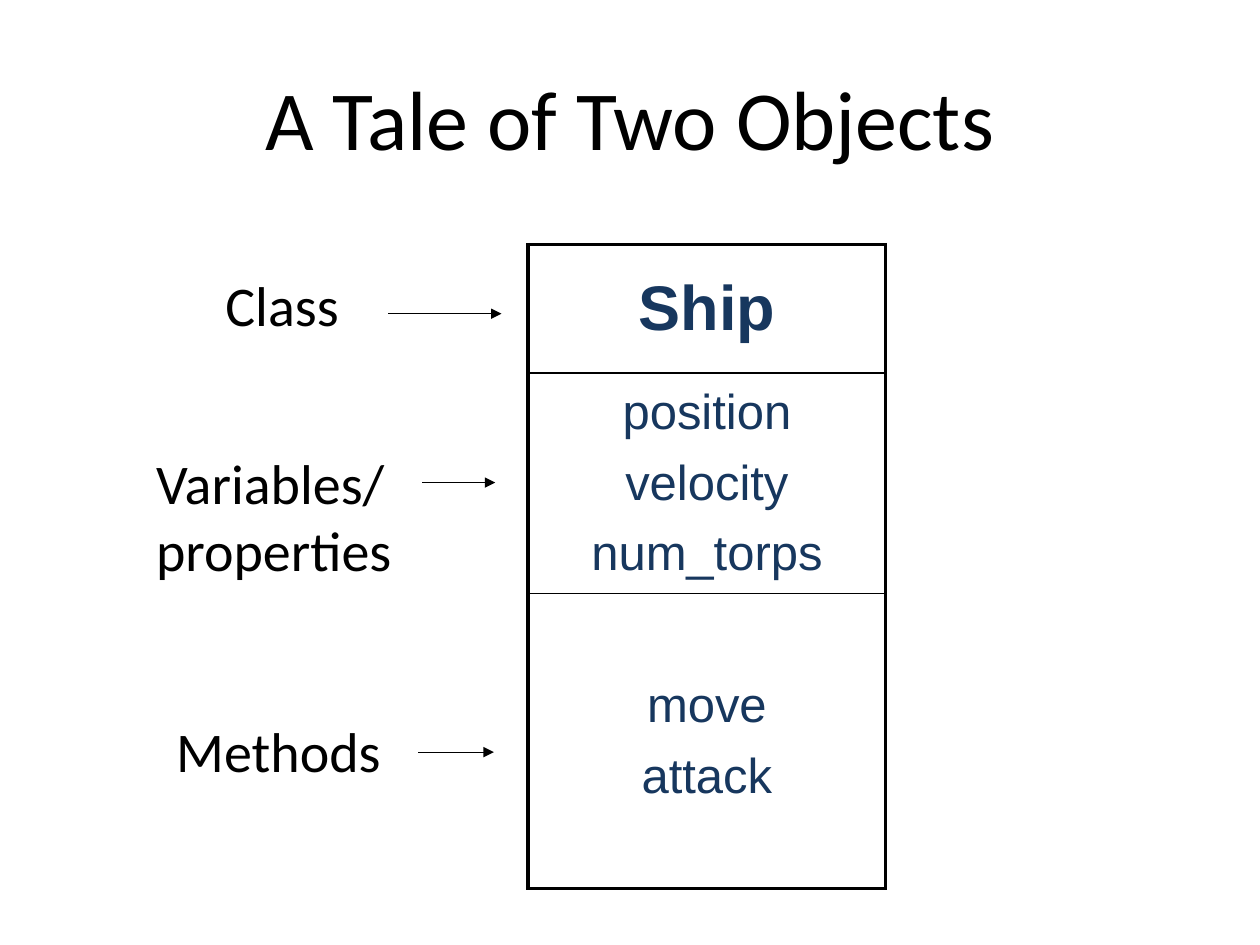
"""Build the class diagram slide 'A Tale of Two Objects'."""
from lxml import etree
from pptx import Presentation
from pptx.dml.color import RGBColor
from pptx.enum.shapes import MSO_CONNECTOR
from pptx.enum.text import MSO_ANCHOR, PP_ALIGN
from pptx.oxml import parse_xml
from pptx.oxml.ns import nsdecls, qn
from pptx.util import Inches, Pt

BLACK = RGBColor(0, 0, 0)
NAVY = RGBColor(0x17, 0x37, 0x5E)
CENTER, LEFT = PP_ALIGN.CENTER, PP_ALIGN.LEFT
MIDDLE, TOP = MSO_ANCHOR.MIDDLE, MSO_ANCHOR.TOP
STRAIGHT = MSO_CONNECTOR.STRAIGHT

TITLE = "A Tale of Two Objects"
TITLE_BOX = (0.5, 0.3, 9, 1.25)
TITLE_FONT = {"name": "Calibri", "size": Pt(48)}
LABEL_FONT = {"name": "Calibri", "size": Pt(32)}
NAME_FONT = {"name": "Arial", "size": Pt(36), "bold": True}
MEMBER_FONT = {"name": "Arial", "size": Pt(28), "bold": False}

CLASS_BOX = (4.19, 1.94, 2.84)
ROWS = [
    (1.02, ["Ship"], NAME_FONT),
    (1.75, ["position", "velocity", "num_torps"], MEMBER_FONT),
    (2.34, ["move", "attack"], MEMBER_FONT),
]
LABELS = [
    ("Class", (1.69, 2.1, 1.31, 0.63), (3.08, 3.98, 2.49)),
    ("Variables/\vproperties", (1.14, 3.51, 2.2, 1.18), (3.35, 3.93, 3.83)),
    ("Methods", (1.3, 5.64, 1.9, 0.63), (3.32, 3.92, 5.97)),
]
OUTER, INNER = 2.25, 1


def write(tf, lines, font, color, align, before=0):
    for i, line in enumerate(lines):
        p = tf.add_paragraph() if i else tf.paragraphs[0]
        p.text = line
        p.alignment, p.space_before = align, Pt(before)
        for r in p.runs:
            r.font.color.rgb = color
            for key, value in font.items():
                setattr(r.font, key, value)


def add_text(s, text, box, font, align, anchor):
    tf = s.shapes.add_textbox(*map(Inches, box)).text_frame
    tf.word_wrap, tf.vertical_anchor = True, anchor
    write(tf, [text], font, BLACK, align)


def add_arrow(s, x1, x2, y):
    sp = s.shapes.add_connector(STRAIGHT, *map(Inches, (x1, y, x2, y)))
    sp.line.color.rgb, sp.line.width = BLACK, Pt(0.75)
    etree.SubElement(sp.line._get_or_add_ln(), qn("a:tailEnd"), type="triangle")
    etree.SubElement(sp._element.spPr, qn("a:effectLst"))


def set_borders(cell, widths):
    tcPr = cell._tc.get_or_add_tcPr()
    for i, (side, width) in enumerate(widths.items()):
        tcPr.insert(i, parse_xml(
            f'<a:ln{side} {nsdecls("a")} w="{Pt(width)}"><a:solidFill>'
            f'<a:srgbClr val="{BLACK}"/></a:solidFill></a:ln{side}>'))


def add_class_table(s):
    height = sum(row[0] for row in ROWS)
    table = s.shapes.add_table(len(ROWS), 1, *map(Inches, (*CLASS_BOX, height))).table
    table.first_row = table.horz_banding = False
    last = len(ROWS) - 1
    for i, (row_height, lines, font) in enumerate(ROWS):
        table.rows[i].height = Inches(row_height)
        cell = table.cell(i, 0)
        cell.vertical_anchor = MIDDLE
        cell.fill.background()
        write(cell.text_frame, lines, font, NAVY, CENTER, before=9)
        set_borders(cell, {"L": OUTER, "R": OUTER,
                           "T": INNER if i else OUTER,
                           "B": INNER if i < last else OUTER})


prs = Presentation()
prs.slide_width, prs.slide_height = Inches(10), Inches(7.5)
s = prs.slides.add_slide(prs.slide_layouts[6])
add_text(s, TITLE, TITLE_BOX, TITLE_FONT, CENTER, MIDDLE)
add_class_table(s)
for text, box, arrow in LABELS:
    add_arrow(s, *arrow)
    add_text(s, text, box, LABEL_FONT, LEFT, TOP)
prs.save("out.pptx")
